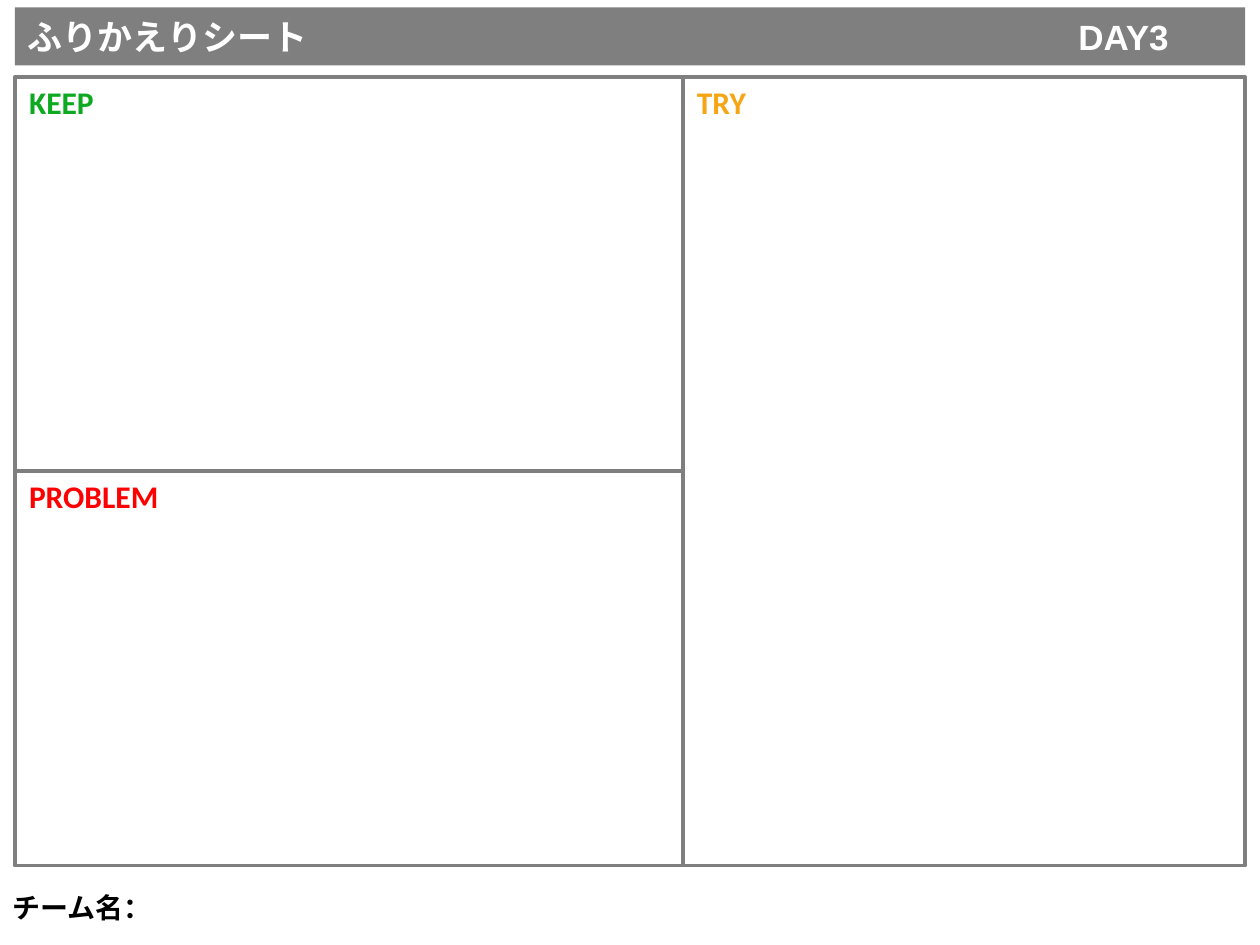
from lxml.etree import SubElement
from pptx import Presentation
from pptx.dml.color import RGBColor
from pptx.enum.shapes import MSO_CONNECTOR, MSO_SHAPE
from pptx.enum.text import MSO_ANCHOR, PP_ALIGN
from pptx.oxml.ns import qn
from pptx.util import Cm, Pt

GRAY = RGBColor(0x7F, 0x7F, 0x7F)
WHITE = RGBColor(0xFF, 0xFF, 0xFF)
BLACK = RGBColor(0x00, 0x00, 0x00)
GREEN = RGBColor(0x0D, 0xA9, 0x21)
RED = RGBColor(0xFF, 0x00, 0x00)
ORANGE = RGBColor(0xF6, 0xA6, 0x15)
RULE_WIDTH = Pt(2.25)


def write(shape, text, size, font_name, color, align=PP_ALIGN.LEFT):
    para = shape.text_frame.paragraphs[0]
    para.text = text
    para.alignment = align
    para.font.size = Pt(size)
    para.font.name = font_name
    para.font.bold = True
    para.font.color.rgb = color
    return para


def add_rectangle(page, left, top, width, height, fill):
    box = page.shapes.add_shape(
        MSO_SHAPE.RECTANGLE, Cm(left), Cm(top), Cm(width), Cm(height))
    box.shadow.inherit = False
    box.fill.solid()
    box.fill.fore_color.rgb = fill
    return box


def add_label(page, left, top, width, height, text, size, font_name, color,
              align=PP_ALIGN.LEFT):
    label = page.shapes.add_textbox(Cm(left), Cm(top), Cm(width), Cm(height))
    label.text_frame.word_wrap = False
    write(label, text, size, font_name, color, align)


def add_rule(page, x1, y1, x2, y2):
    rule = page.shapes.add_connector(
        MSO_CONNECTOR.STRAIGHT, Cm(x1), Cm(y1), Cm(x2), Cm(y2))
    rule.line.color.rgb = GRAY
    rule.line.width = RULE_WIDTH
    SubElement(rule._element.spPr, qn("a:effectLst"))


def add_header(page, left, top, width, height):
    bar = add_rectangle(page, left, top, width, height, GRAY)
    bar.line.fill.background()
    bar.text_frame.vertical_anchor = MSO_ANCHOR.MIDDLE
    para = write(bar, "ふりかえりシート\tDAY3", 20, "Arial", WHITE)
    # Tab stop for the day
    stops = SubElement(para._p.get_or_add_pPr(), qn("a:tabLst"))
    # The schema puts tab stops before the default run properties
    stops.getparent().insert(0, stops)
    SubElement(stops, qn("a:tab"), pos=str(Cm(width - 3.61)), algn="l")


def add_board(page, left, top, width, height):
    frame = add_rectangle(page, left, top, width, height, WHITE)
    frame.line.color.rgb = GRAY
    frame.line.width = RULE_WIDTH
    split_x = left + 13.46
    split_y = top + height / 2
    add_rule(page, split_x, top, split_x, top + height)
    add_rule(page, left, split_y, split_x, split_y)
    # Section headings
    for text, x, y, label_width, color in (
            ("KEEP", left, top, 1.88, GREEN),
            ("PROBLEM", left, split_y, 3.18, RED),
            ("TRY", split_x, top, 1.57, ORANGE)):
        add_label(page, x, y, label_width, 1.02, text, 18, "Calibri", color,
                  PP_ALIGN.CENTER)


deck = Presentation()
deck.slide_width, deck.slide_height = Cm(25.4), Cm(19.05)
page = deck.slides.add_slide(deck.slide_layouts[6])

add_header(page, 0.3, 0.15, 24.8, 1.17)
add_label(page, 0, 17.83, 3.48, 0.94, "チーム名:".replace(":", "："), 16, "Arial", BLACK)
add_board(page, 0.3, 1.55, 24.8, 15.9)

deck.save("out.pptx")
